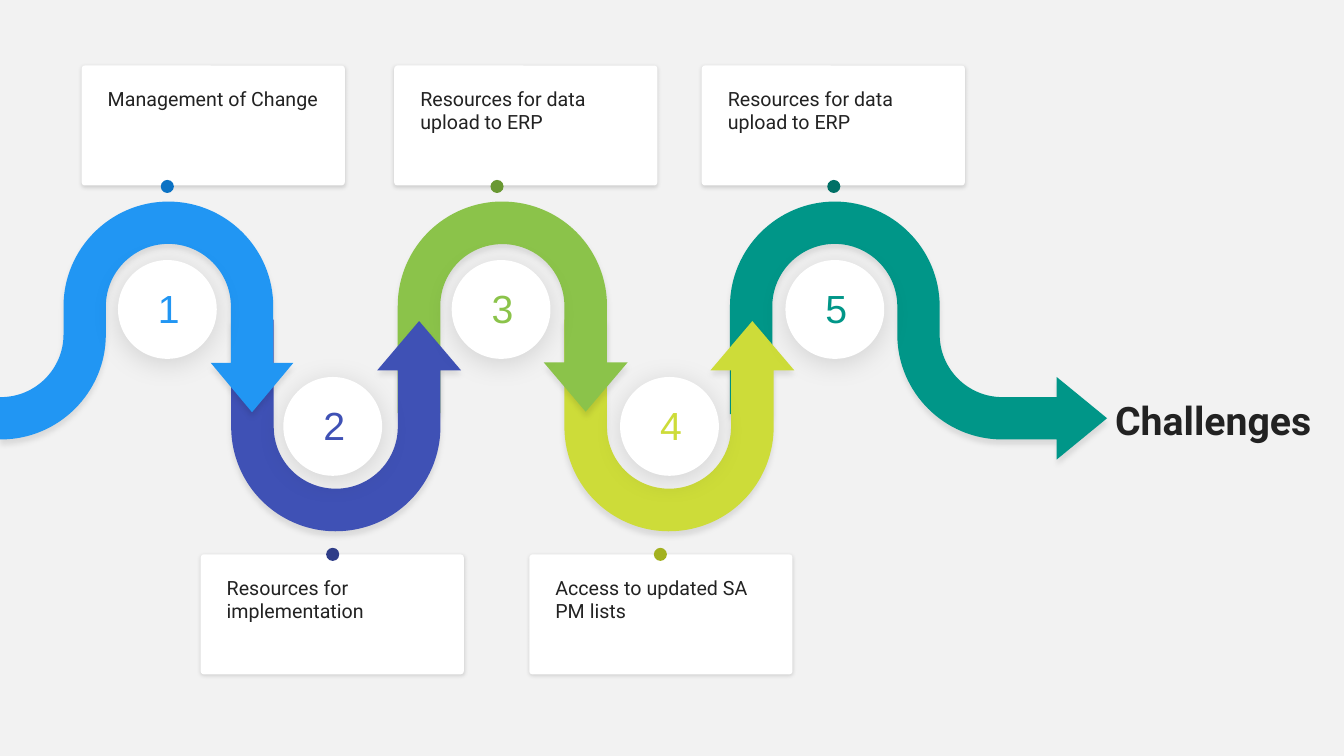
"""Build a slide with a winding five-step path that leads to the challenges title."""
from lxml.etree import SubElement
from pptx import Presentation
from pptx.dml.color import RGBColor
from pptx.enum.shapes import MSO_SHAPE as Preset
from pptx.enum.text import MSO_ANCHOR as Anchor, MSO_AUTO_SIZE as AutoSize, PP_ALIGN as Align
from pptx.oxml.ns import qn
from pptx.util import Inches, Pt

WIDTH, HEIGHT = 13.33, 7.5
INK, WHITE = "222222", "FFFFFF"
FIRST_BEND, LAST_BEND = 1.67, 8.28
UPPER_ROW, LOWER_ROW = 3.04, 4.23
OUTER, INNER = 1.04, 0.62
TAIL_DROP = 0.28
ROUNDNESS = 0.55
CARD_W, CARD_H, CARD_PAD = 2.61, 1.19, 0.16
TOP_CARDS, BOTTOM_CARDS = 0.65, 5.5
DOT, DISC = 0.13, 0.98
RIBBON_SHADOW, DISC_SHADOW, CARD_SHADOW = (10, 4, 3), (13, 20, 3), (15, 3, 1)
STEPS = [
    ("Management of Change", "2196F3", "0B72C4", 0.81, 1.66, 1.66),
    ("Resources for implementation", "3F51B5", "2F3D88", 1.99, 3.3, 3.3),
    ("Resources for data upload to ERP", "8BC34A", "699832", 3.91, 4.93, 4.97),
    ("Access to updated SA PM lists", "CDDC39", "A3B11F", 5.25, 6.55, 6.64),
    ("Resources for data upload to ERP", "009688", "007066", 6.96, 8.27, 8.28),
]


def rgb(hex_code):
    """Turn a hex string into a colour."""
    return RGBColor.from_string(hex_code)


def box(*lengths):
    """Turn lengths in inches into slide units."""
    return [Inches(length) for length in lengths]


def bend_x(step):
    """Return the centre of the bend in a step's column."""
    return FIRST_BEND + step * (LAST_BEND - FIRST_BEND) / 4


def paint(shape, color, shadow=None):
    """Fill a shape without outline and give it a soft downward shadow."""
    shape.fill.solid()
    shape.fill.fore_color.rgb = rgb(color)
    shape.line.fill.background()
    shape.shadow.inherit = False
    if shadow:
        opacity, blur, distance = shadow
        effects = shape._element.spPr.find(qn("a:effectLst"))
        outer = SubElement(effects, qn("a:outerShdw"), blurRad=str(Pt(blur)),
                           dist=str(Pt(distance)), dir="5400000", algn="t", rotWithShape="0")
        tint = SubElement(outer, qn("a:srgbClr"), val="000000")
        SubElement(tint, qn("a:alpha"), val=str(opacity * 1000))


def write(frame, words, size, color, font, bold=False):
    """Write one formatted run and return its paragraph."""
    paragraph = frame.paragraphs[0]
    run = paragraph.add_run()
    run.text = words
    run.font.size, run.font.name, run.font.bold = Pt(size), font, bold
    run.font.color.rgb = rgb(color)
    return paragraph


def lines(*points):
    """List straight pieces, one point each."""
    return [[point] for point in points]


def arc(x, y, radius, *quarters):
    """List a line to an arc's start and a curve for each further quarter (0 right, 1 below)."""
    spokes = [((1, 0), (0, 1), (-1, 0), (0, -1))[quarter % 4] for quarter in quarters]
    pieces = lines((x + radius * spokes[0][0], y + radius * spokes[0][1]))
    for (ax, ay), (bx, by) in zip(spokes, spokes[1:]):
        mix = ((ax + ROUNDNESS * bx, ay + ROUNDNESS * by),
               (bx + ROUNDNESS * ax, by + ROUNDNESS * ay), (bx, by))
        pieces.append([(x + radius * dx, y + radius * dy) for dx, dy in mix])
    return pieces


def add_ribbon(slide, outline, color):
    """Draw a closed ribbon from straight and curved pieces."""
    points = [tuple(box(*point)) for piece in outline for point in piece]
    builder = slide.shapes.build_freeform(*points[0])
    builder.add_line_segments(points[1:], close=True)
    ribbon = builder.convert_to_shape()
    nodes = iter(list(ribbon._element.iter(qn("a:lnTo"))))
    for piece in outline[1:]:
        first, *others = [next(nodes) for _ in piece]
        if others:
            first.tag = qn("a:cubicBezTo")
        for other in others:
            first.append(other[0])
            other.getparent().remove(other)
    paint(ribbon, color, RIBBON_SHADOW)


def add_entry_ribbon(slide, color):
    """Draw the ribbon that enters at the left edge and points down."""
    x, y = bend_x(0), UPPER_ROW
    tail = x - OUTER - INNER, y + TAIL_DROP
    middle, neck, tip = x + (OUTER + INNER) / 2, 3.6, 4.09
    add_ribbon(slide, [
        *lines((0, tail[1] + OUTER)), *arc(*tail, OUTER, 1, 0), *arc(x, y, INNER, 2, 3, 4),
        *lines((x + INNER, neck), (middle - 0.41, neck), (middle, tip),
               (middle + 0.41, neck), (x + OUTER, neck)),
        *arc(x, y, OUTER, 4, 3, 2), *arc(*tail, INNER, 0, 1),
        *lines((0, tail[1] + INNER))], color)


def add_exit_ribbon(slide, color):
    """Draw the ribbon that leaves the last bend and points at the title."""
    x, y = bend_x(4), UPPER_ROW
    tail = x + OUTER + INNER, y + TAIL_DROP
    middle, neck, tip = tail[1] + (OUTER + INNER) / 2, 10.48, 10.98
    add_ribbon(slide, [
        *lines((x - OUTER, 4.11)), *arc(x, y, OUTER, 2, 3, 4), *arc(*tail, INNER, 2, 1),
        *lines((neck, tail[1] + INNER), (neck, middle - 0.41), (tip, middle),
               (neck, middle + 0.41), (neck, tail[1] + OUTER)),
        *arc(*tail, OUTER, 1, 2), *arc(x, y, INNER, 4, 3, 2),
        *lines((x - INNER, 4.11))], color)


def add_turn(slide, step, color):
    """Draw a U-turn arrow, upside down in the lower row."""
    lower = step % 2 == 1
    top = LOWER_ROW + OUTER - 2.1 if lower else UPPER_ROW - OUTER
    turn = slide.shapes.add_shape(Preset.U_TURN_ARROW,
                                  *box(bend_x(step) - OUTER + 0.01, top, 2.28, 2.1))
    for index, share in enumerate((0.201, 0.198, 0.233, 0.493, 0.993)):
        turn.adjustments[index] = share
    if lower:
        turn.rotation = 180
        turn._element.spPr.xfrm.set("flipH", "1")
    paint(turn, color, RIBBON_SHADOW)


def add_disc(slide, step, color, x):
    """Draw the numbered white disc inside a bend."""
    y = LOWER_ROW if step % 2 else UPPER_ROW + 0.03
    disc = slide.shapes.add_shape(Preset.OVAL, *box(x - DISC / 2, y - DISC / 2, DISC, DISC))
    paint(disc, WHITE, DISC_SHADOW)
    frame = disc.text_frame
    frame.vertical_anchor = Anchor.MIDDLE
    frame.margin_left, frame.margin_top, frame.margin_right, frame.margin_bottom = box(0.03, 0.03, 0, 0)
    number = write(frame, str(step + 1), 28, color, "Arial")
    number.alignment, number.line_spacing = Align.CENTER, 0.9


def add_card(slide, step, words, color, left, dot_x):
    """Draw a grouped card with its label and a dot on the edge facing the path."""
    lower = step % 2 == 1
    top = BOTTOM_CARDS if lower else TOP_CARDS
    edge = top if lower else top + CARD_H + 0.01
    group = slide.shapes.add_group_shape()
    card = group.shapes.add_shape(Preset.ROUNDED_RECTANGLE, *box(left, top, CARD_W, CARD_H))
    card.adjustments[0] = 0.027
    paint(card, WHITE, CARD_SHADOW)
    label_h = 0.34 if step == 0 else 0.57
    label = group.shapes.add_textbox(*box(left + CARD_PAD, top + CARD_PAD, 2.35, label_h))
    label.text_frame.word_wrap = True
    label.text_frame.auto_size = AutoSize.SHAPE_TO_FIT_TEXT
    write(label.text_frame, words, 14, INK, "Roboto")
    dot = group.shapes.add_shape(Preset.OVAL, *box(dot_x - DOT / 2, edge - DOT / 2, DOT, DOT))
    paint(dot, color)


def add_backdrop(slide):
    """Tint the whole slide with a faint veil behind everything else."""
    veil = slide.shapes.add_shape(Preset.RECTANGLE, *box(0, 0, WIDTH, HEIGHT))
    paint(veil, INK)
    tint = veil._element.spPr.find(qn("a:solidFill"))[0]
    SubElement(tint, qn("a:alpha"), val="6000")
    slide.shapes._spTree.insert(2, veil._element)


def set_title(slide, words):
    """Place the title at the tip of the path."""
    title = slide.shapes.title
    title.left, title.top, title.width, title.height = box(10.96, 3.97, WIDTH - 10.96, 0.69)
    frame = title.text_frame
    frame.word_wrap, frame.auto_size, frame.vertical_anchor = True, AutoSize.NONE, Anchor.TOP
    heading = write(frame, words, 28, INK, "Roboto", bold=True)
    heading.alignment, heading.line_spacing = Align.LEFT, 0.8


def main():
    """Build and save the slide."""
    deck = Presentation()
    deck.slide_width, deck.slide_height = box(WIDTH, HEIGHT)
    slide = deck.slides.add_slide(deck.slide_layouts[5])
    add_backdrop(slide)
    set_title(slide, "Challenges")
    add_exit_ribbon(slide, STEPS[4][1])
    for step in (3, 2, 1):
        add_turn(slide, step, STEPS[step][1])
    add_entry_ribbon(slide, STEPS[0][1])
    for step, (words, color, dot_color, left, dot_x, disc_x) in enumerate(STEPS):
        add_disc(slide, step, color, disc_x)
        add_card(slide, step, words, dot_color, left, dot_x)
    deck.save("out.pptx")


if __name__ == "__main__":
    main()
